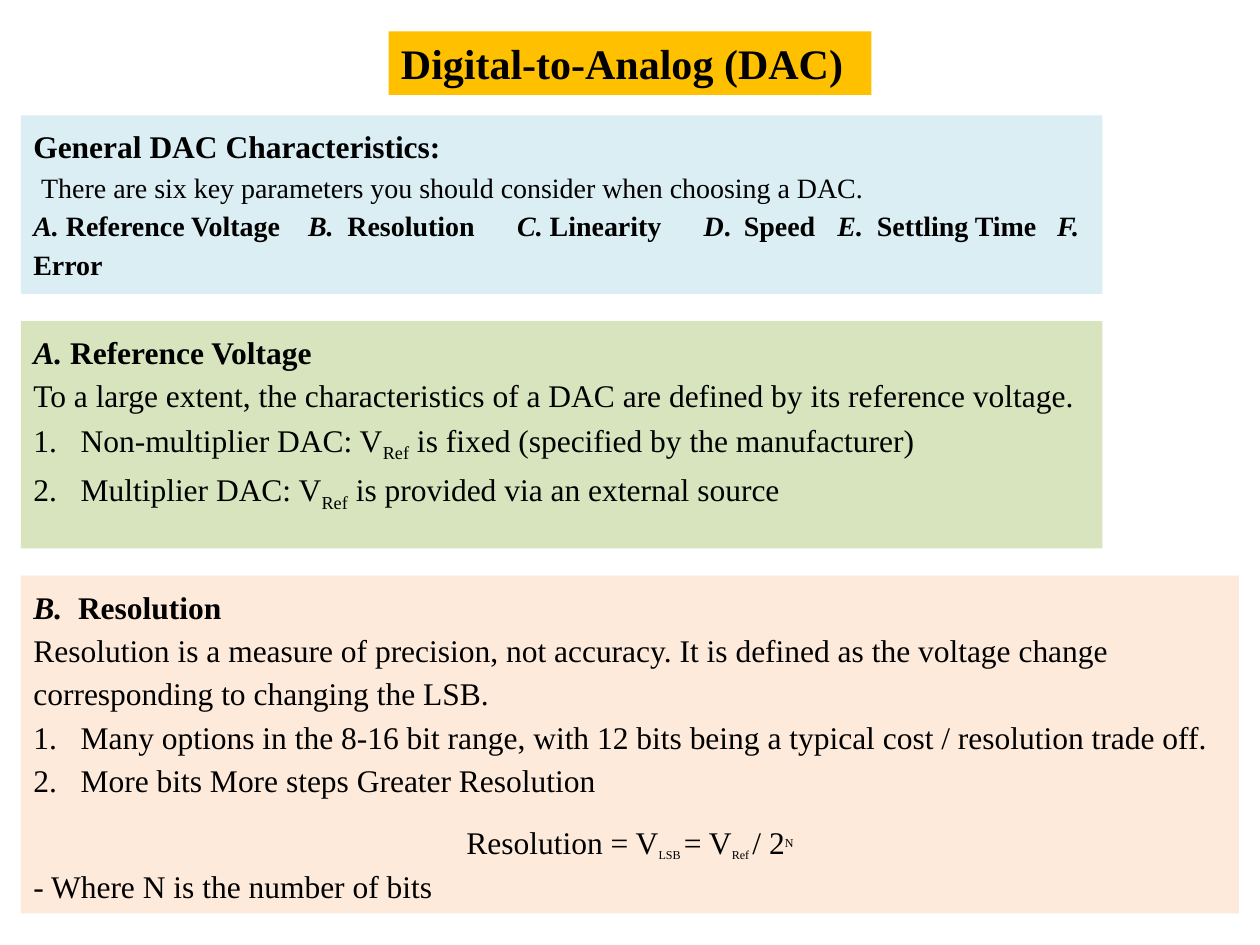
"""Build a slide on digital-to-analog converter characteristics."""
import pptx
import pptx.dml.color
import pptx.enum.shapes
import pptx.enum.text
import pptx.oxml
import pptx.oxml.ns
import pptx.util

Pt = pptx.util.Pt
RGBColor = pptx.dml.color.RGBColor
ALIGN = pptx.enum.text.PP_ALIGN

BLACK = RGBColor(0x00, 0x00, 0x00)
GOLD = RGBColor(0xFF, 0xC0, 0x00)
BLUE = RGBColor(0xDB, 0xEE, 0xF4)
GREEN = RGBColor(0xD7, 0xE4, 0xBD)
PEACH = RGBColor(0xFD, 0xEA, 0xDA)
ITALIC = {"italic": True}
SUBSCRIPT = {"baseline": -25000}
SMALL_SUBSCRIPT = {"baseline": -25000, "size": 12}
SMALL_SUPERSCRIPT = {"baseline": 30000, "size": 12}


class Sheet:
    def __init__(self, page, font="Times New Roman", size=18, spacing=1.15):
        self.page = page
        self.font = font
        self.size = size
        self.spacing = spacing

    def panel(self, left, top, width, height, color, wrap=True):
        box = self.page.shapes.add_shape(
            pptx.enum.shapes.MSO_SHAPE.RECTANGLE, Pt(left), Pt(top), Pt(width), Pt(height))
        box.shadow.inherit = False
        box.fill.solid()
        box.fill.fore_color.rgb = color
        box.line.fill.background()
        frame = box.text_frame
        frame.word_wrap = wrap
        frame.vertical_anchor = pptx.enum.text.MSO_ANCHOR.TOP
        return frame

    def add_property(self, para, xml):
        namespace = pptx.oxml.ns.nsdecls("a")
        element = pptx.oxml.parse_xml(xml.replace(">", f" {namespace}>", 1))
        para._p.get_or_add_pPr().append(element)

    def line(self, frame, *parts, size=None, bold=False, align=ALIGN.LEFT,
             after=0, indent=0, tabs=(), numbered=False):
        para = frame.paragraphs[0]
        if para.runs:
            para = frame.add_paragraph()
        para.alignment = align
        para.line_spacing = self.spacing
        para.space_after = Pt(after)
        properties = para._p.get_or_add_pPr()
        if numbered:
            properties.set("marL", str(Pt(27)))
            properties.set("indent", str(-Pt(27)))
            self.add_property(para, '<a:buAutoNum type="arabicPeriod"></a:buAutoNum>')
        elif indent:
            properties.set("marL", str(Pt(indent)))
        if tabs:
            stops = "".join(f'<a:tab pos="{Pt(stop)}" algn="l"/>' for stop in tabs)
            self.add_property(para, f"<a:tabLst>{stops}</a:tabLst>")
        para.font.name = self.font
        para.font.size = Pt(size or self.size)
        para.font.bold = bold
        para.font.color.rgb = BLACK
        for part in parts:
            text, style = (part, {}) if isinstance(part, str) else part
            span = para.add_run()
            span.text = text
            if "italic" in style:
                span.font.italic = True
            if "size" in style:
                span.font.size = Pt(style["size"])
            if "baseline" in style:
                span._r.get_or_add_rPr().set("baseline", str(style["baseline"]))


def main():
    deck = pptx.Presentation()
    deck.slide_width, deck.slide_height = Pt(720), Pt(540)
    sheet = Sheet(deck.slides.add_slide(deck.slide_layouts[6]))

    title = sheet.panel(222, 18, 276, 36.35, GOLD, wrap=False)
    sheet.spacing = 1.0
    sheet.line(title, "Digital-to-Analog (DAC)", size=24, bold=True)
    sheet.spacing = 1.15

    overview = sheet.panel(12, 66, 618, 102, BLUE)
    sheet.line(overview, "General DAC Characteristics:", bold=True)
    sheet.line(overview, "There are six key parameters you should consider when choosing a DAC.",
               size=16, indent=4.5)
    sheet.line(overview,
               ("A.", ITALIC), " Reference Voltage\t",
               ("B.", ITALIC), "\tResolution\t",
               ("C.", ITALIC), " Linearity\t",
               ("D", ITALIC), ".\tSpeed\t",
               ("E.", ITALIC), "\tSettling Time\t",
               ("F.", ITALIC), " Error",
               size=16, bold=True, tabs=(157, 179.5, 276.5, 383, 406, 459.5, 482, 585))

    reference = sheet.panel(12, 183.5, 618, 130, GREEN)
    sheet.line(reference, ("A. ", ITALIC), "Reference Voltage", bold=True)
    sheet.line(reference, "To a large extent, the characteristics of a DAC are defined "
                          "by its reference voltage.")
    for kind, source in (("Non-multiplier", "fixed (specified by the manufacturer)"),
                         ("Multiplier", "provided via an external source")):
        sheet.line(reference, f"{kind} DAC: V", ("Ref", SUBSCRIPT), f" is {source}",
                   numbered=True)

    resolution = sheet.panel(12, 329, 696, 193, PEACH)
    sheet.line(resolution, ("B.", ITALIC), "\tResolution", bold=True, tabs=(25.5,))
    sheet.line(resolution, "Resolution is a measure of precision, not accuracy. It is defined as "
                           "the voltage change corresponding to changing the LSB.")
    sheet.line(resolution, "Many options in the 8-16 bit range, with 12 bits being a typical "
                           "cost / resolution trade off.", numbered=True)
    sheet.line(resolution, "More bits More steps Greater Resolution", numbered=True, after=10)
    sheet.line(resolution, "Resolution = V", ("LSB ", SMALL_SUBSCRIPT), "= V",
               ("Ref ", SMALL_SUBSCRIPT), "/ 2", ("N", SMALL_SUPERSCRIPT), align=ALIGN.CENTER)
    sheet.line(resolution, "- Where N is the number of bits")

    deck.save("out.pptx")


if __name__ == "__main__":
    main()
